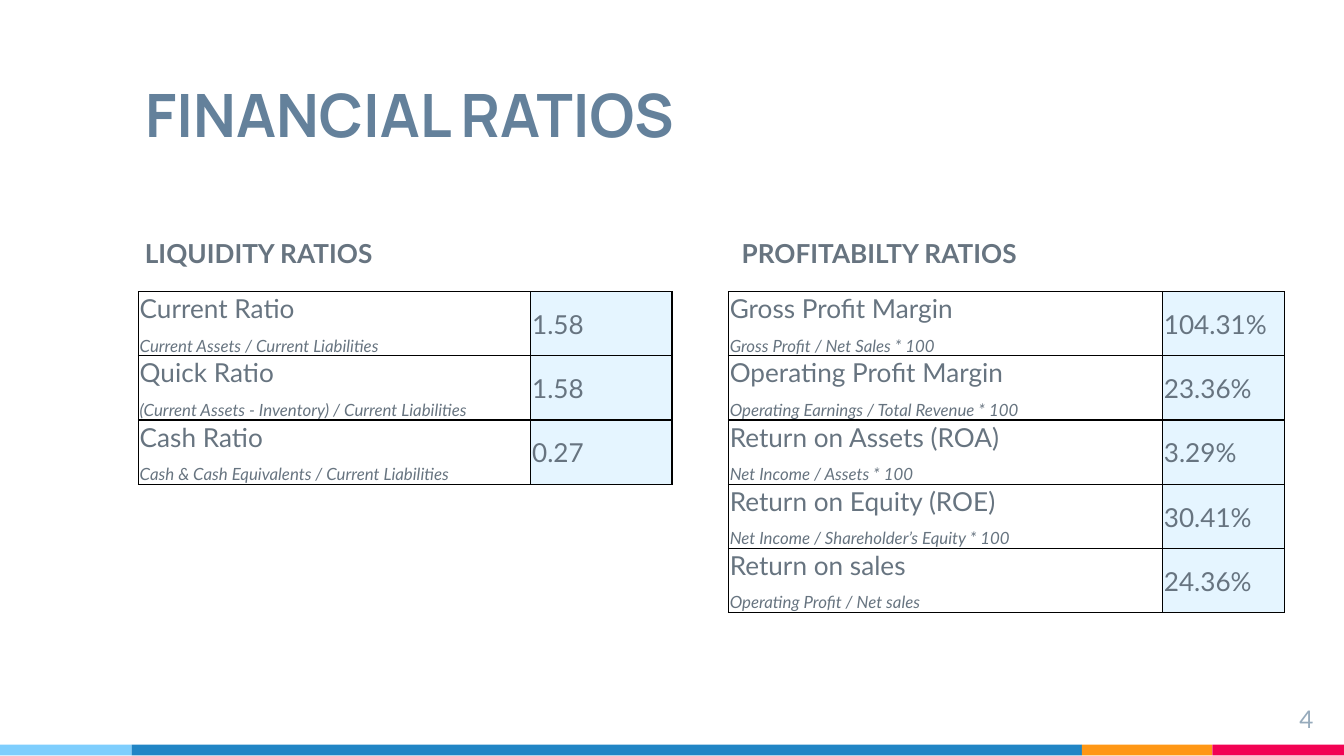
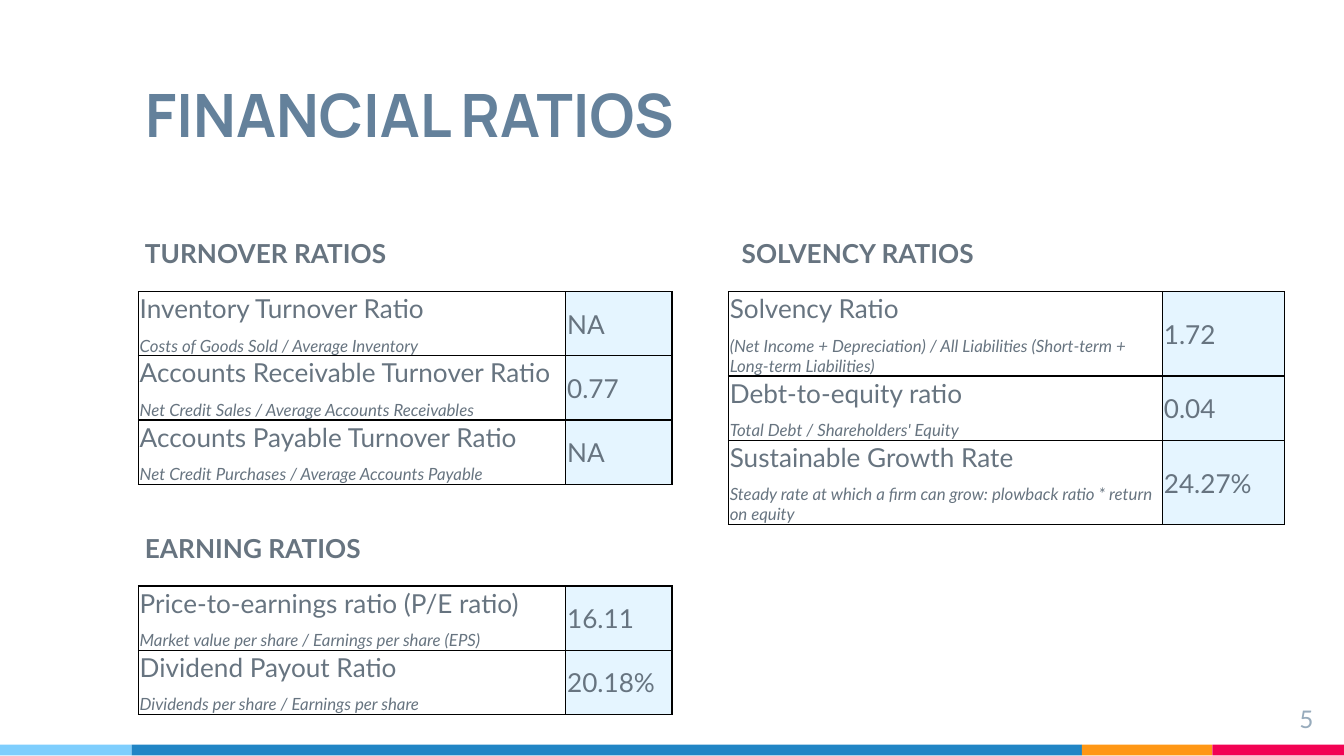
from lxml.etree import SubElement
from pptx import Presentation
from pptx.dml.color import RGBColor
from pptx.enum.shapes import MSO_SHAPE
from pptx.enum.text import MSO_ANCHOR, PP_ALIGN
from pptx.oxml.ns import qn
from pptx.util import Inches, Pt

COLORS = {
    "sky": "7ECEFD", "blue": "2185C5", "orange": "FF9715", "red": "F20253",
    "title": "64819B", "text": "677480", "number": "97ABBC",
    "value": "E5F5FF", "border": "000000",
}
BANDS = [("sky", 0.98), ("blue", 7.07), ("orange", 0.97), ("red", 0.98)]
HEADING_H = 0.5
ROW_H = 0.35
LEFT = {"left": 0.98, "width": 3.91, "table_left": 1.03}
RIGHT = {"left": 5.42, "width": 4.08, "table_left": 5.42}

LIQUIDITY = [
    ("Current Ratio", "Current Assets / Current Liabilities", "1.58"),
    ("Quick Ratio", "(Current Assets - Inventory) / Current Liabilities", "1.58"),
    ("Cash Ratio", "Cash & Cash Equivalents / Current Liabilities", "0.27"),
]
PROFITABILITY = [
    ("Gross Profit Margin", "Gross Profit / Net Sales * 100", "104.31%"),
    ("Operating Profit Margin", "Operating Earnings / Total Revenue * 100", "23.36%"),
    ("Return on Assets (ROA)", "Net Income / Assets * 100", "3.29%"),
    ("Return on Equity (ROE)", "Net Income / Shareholder’s Equity * 100", "30.41%"),
    ("Return on sales", "Operating Profit / Net sales", "24.36%"),
]
TURNOVER = [
    ("Inventory Turnover Ratio", "Costs of Goods Sold / Average Inventory", "NA"),
    ("Accounts Receivable Turnover Ratio",
     "Net Credit Sales / Average Accounts Receivables", "0.77"),
    ("Accounts Payable Turnover Ratio",
     "Net Credit Purchases / Average Accounts Payable", "NA"),
]
SOLVENCY = [
    ("Solvency Ratio",
     "(Net Income + Depreciation) / All Liabilities (Short-term + Long-term Liabilities)",
     "1.72"),
    ("Debt-to-equity ratio", "Total Debt / Shareholders' Equity", "0.04"),
    ("Sustainable Growth Rate",
     "Steady rate at which a firm can grow: plowback ratio * return on equity",
     "24.27%"),
]
EARNING = [
    ("Price-to-earnings ratio (P/E ratio)",
     "Market value per share / Earnings per share (EPS)", "16.11"),
    ("Dividend Payout Ratio", "Dividends per share / Earnings per share", "20.18%"),
]


def rgb(name):
    return RGBColor.from_string(COLORS[name])


def style(p, size, color="text", font="Lato", bold=False, italic=False):
    for r in p.runs:
        r.font.size = Pt(size)
        r.font.name = font
        r.font.bold = bold
        r.font.italic = italic
        r.font.color.rgb = rgb(color)


def set_margins(tf, margin):
    tf.margin_left = tf.margin_right = Inches(margin)
    tf.margin_top = tf.margin_bottom = Inches(margin)
    tf.word_wrap = True
    tf.vertical_anchor = MSO_ANCHOR.TOP


def add_text(s, text, left, top, width, height):
    tf = s.shapes.add_textbox(
        Inches(left), Inches(top), Inches(width), Inches(height)).text_frame
    set_margins(tf, 0.1)
    tf.text = text
    return tf.paragraphs[0]


def add_bands(s, layout, top=5.54, height=0.08):
    left = 0
    for color, width in BANDS:
        sp = s.shapes.add_shape(MSO_SHAPE.RECTANGLE, Inches(left), Inches(top),
                                Inches(width), Inches(height))
        sp.shadow.inherit = False
        sp.fill.solid()
        sp.fill.fore_color.rgb = rgb(color)
        sp.line.fill.background()
        layout.shapes.element.append(sp.element)
        left += width


def add_borders(cell):
    tc_pr = cell._tc.get_or_add_tcPr()
    for side in ("a:lnL", "a:lnR", "a:lnT", "a:lnB"):
        ln = SubElement(tc_pr, qn(side), w=str(Pt(0.75)))
        fill = SubElement(ln, qn("a:solidFill"))
        SubElement(fill, qn("a:srgbClr"), val=COLORS["border"])


def fill_cell(cell, lines):
    cell.margin_left = cell.margin_right = cell.margin_top = Inches(0.01)
    cell.margin_bottom = 0
    cell.vertical_anchor = MSO_ANCHOR.MIDDLE
    add_borders(cell)
    cell.text_frame.text = "\n".join(lines)
    for i, p in enumerate(cell.text_frame.paragraphs):
        p.space_before = Pt(6)
        style(p, 9 if i else 14, italic=i > 0)


def add_ratios(s, heading, rows, col_widths, column, top=1.67):
    p = add_text(s, heading, column["left"], top, column["width"], HEADING_H)
    p.space_before = Pt(6)
    style(p, 14, bold=True)

    table = s.shapes.add_table(
        len(rows), 2, Inches(column["table_left"]), Inches(top + HEADING_H),
        Inches(sum(col_widths)), Inches(ROW_H * len(rows))).table
    table.first_row = table.horz_banding = False
    for col, width in zip(table.columns, col_widths):
        col.width = Inches(width)
    for row, (name, formula, value) in zip(table.rows, rows):
        row.height = Inches(ROW_H)
        name_cell, value_cell = row.cells
        fill_cell(name_cell, [name, formula])
        name_cell.fill.background()
        fill_cell(value_cell, [value])
        value_cell.fill.solid()
        value_cell.fill.fore_color.rgb = rgb("value")


def add_ratio_slide(prs, layout, number):
    s = prs.slides.add_slide(layout)
    title = s.shapes.title
    title.left, title.top = Inches(0.98), Inches(0.48)
    title.width, title.height = Inches(8.34), Inches(0.94)
    tf = title.text_frame
    set_margins(tf, 0.1)
    tf.text = "FINANCIAL RATIOS"
    p = tf.paragraphs[0]
    p.alignment = PP_ALIGN.LEFT
    style(p, 32, "title", "Manrope", bold=True)

    p = add_text(s, str(number), 9.27, 5.14, 0.6, 0.34)
    p.alignment = PP_ALIGN.RIGHT
    style(p, 13, "number")
    return s


def main():
    prs = Presentation()
    prs.slide_width = Inches(10)
    prs.slide_height = prs.slide_width * 9 // 16
    layout = prs.slide_layouts[5]

    s = add_ratio_slide(prs, layout, 4)
    add_bands(s, layout)
    add_ratios(s, "LIQUIDITY RATIOS", LIQUIDITY, (2.92, 1.05), LEFT)
    add_ratios(s, "PROFITABILTY RATIOS", PROFITABILITY, (3.23, 0.91), RIGHT)

    s = add_ratio_slide(prs, layout, 5)
    add_ratios(s, "TURNOVER RATIOS", TURNOVER, (3.18, 0.79), LEFT)
    add_ratios(s, "SOLVENCY RATIOS", SOLVENCY, (3.23, 0.91), RIGHT)
    add_ratios(s, "EARNING RATIOS", EARNING, (3.18, 0.79), LEFT, top=3.86)

    prs.save("out.pptx")


if __name__ == "__main__":
    main()
